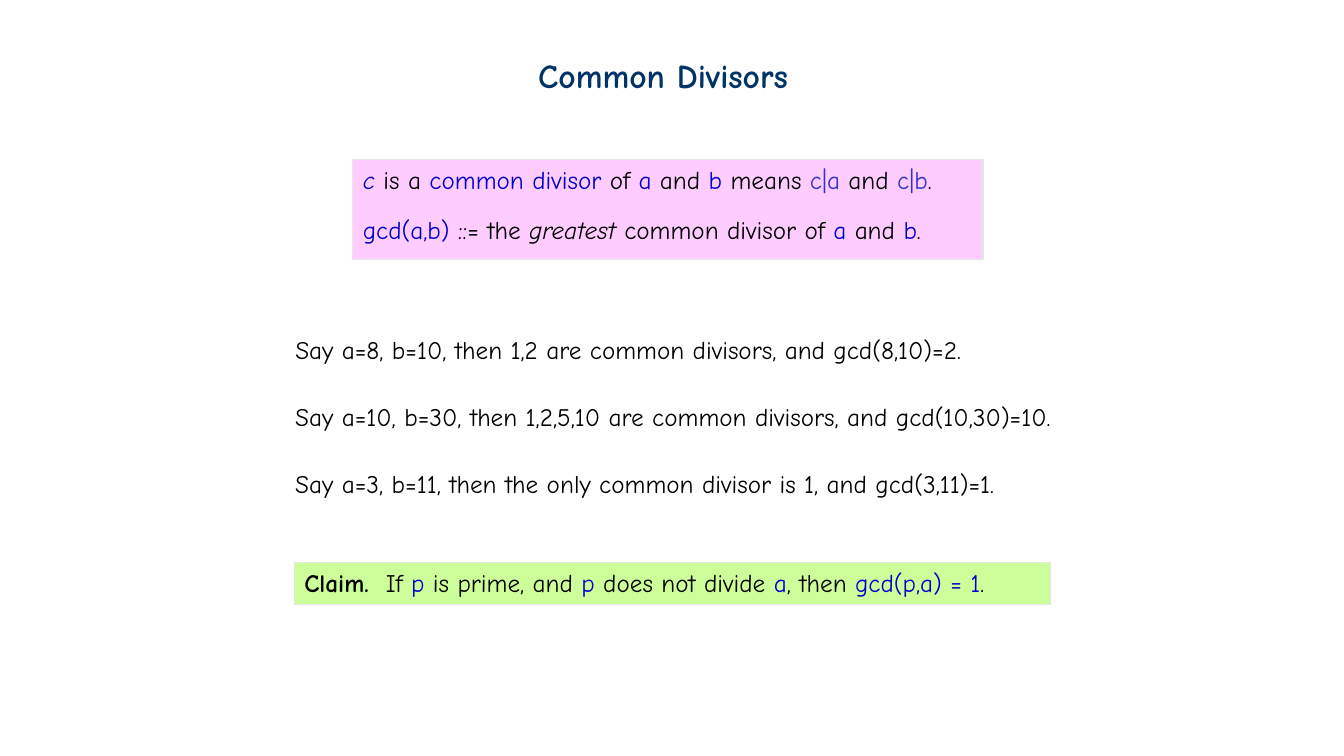
import pptx
import pptx.dml.color
import pptx.enum.shapes
import pptx.enum.text
import pptx.util

Inches, Pt = pptx.util.Inches, pptx.util.Pt

# Content: each line is a list of (text, style) runs
TITLE = [("Common Divisors", "title")]

DEFINITIONS = [
    [("c", "variable"), (" is a ", "body"), ("common divisor", "term"),
     (" of ", "body"), ("a", "term"), (" and ", "body"), ("b", "term"),
     (" means ", "body"), ("c|a ", "divides"), ("and ", "body"),
     ("c|b", "divides"), (".", "body")],
    [("gcd(a,b) ", "term"), ("::= the ", "body"), ("greatest", "emphasis"),
     (" common divisor of ", "body"), ("a", "term"), (" and ", "body"),
     ("b", "term"), (".", "body")],
]

EXAMPLES = [
    ("Say a=8, b=10, then 1,2 are common divisors, and gcd(8,10)=2.", 7.35),
    ("Say a=10, b=30, then 1,2,5,10 are common divisors, and gcd(10,30)=10.", 8.33),
    ("Say a=3, b=11, then the only common divisor is 1, and gcd(3,11)=1.", 7.7),
]

CLAIM = [
    ("Claim.", "strong"), ("  If ", "body"), ("p", "term"),
    (" is prime, and", "body"), (" p ", "term"), ("does not divide", "body"),
    (" a", "term"), (", then ", "body"), ("gcd(p,a) = 1", "term"), (".", "body"),
]

# Theme: style = (size, colour, bold, italic)
THEME = {
    "font": "Comic Neue",
    "border": "E7E6E6",
    "definition_fill": "FFCCFF",
    "claim_fill": "CCFF99",
    "styles": {
        "title": (24, "003366", True, False),
        "body": (18, "000000", False, False),
        "strong": (18, "000000", True, False),
        "emphasis": (18, "000000", False, True),
        "term": (18, "0000CC", False, False),
        "variable": (18, "0000CC", False, True),
        "divides": (18, "3333CC", False, False),
    },
}


def colour(name):
    return pptx.dml.color.RGBColor.from_string(name)


def add_runs(paragraph, runs):
    paragraph.alignment = pptx.enum.text.PP_ALIGN.LEFT
    for text, style in runs:
        size, color, bold, italic = THEME["styles"][style]
        run = paragraph.add_run()
        run.text = text
        run.font.name = THEME["font"]
        run.font.size = Pt(size)
        run.font.color.rgb = colour(color)
        run.font.bold = bold
        run.font.italic = italic


def add_label(slide, left, top, width, height, runs):
    box = slide.shapes.add_textbox(
        Inches(left), Inches(top), Inches(width), Inches(height))
    box.text_frame.word_wrap = False
    box.text_frame.auto_size = pptx.enum.text.MSO_AUTO_SIZE.SHAPE_TO_FIT_TEXT
    add_runs(box.text_frame.paragraphs[0], runs)


def add_panel(slide, left, top, width, height, fill, lines):
    shape = slide.shapes.add_shape(
        pptx.enum.shapes.MSO_SHAPE.RECTANGLE,
        Inches(left), Inches(top), Inches(width), Inches(height))
    shape.shadow.inherit = False
    shape.fill.solid()
    shape.fill.fore_color.rgb = colour(fill)
    shape.line.color.rgb = colour(THEME["border"])
    shape.line.width = Pt(0.75)
    frame = shape.text_frame
    frame.word_wrap = True
    frame.vertical_anchor = pptx.enum.text.MSO_ANCHOR.TOP
    for index, runs in enumerate(lines):
        paragraph = frame.add_paragraph() if index else frame.paragraphs[0]
        add_runs(paragraph, runs)
        paragraph.space_before = Pt(3.6)
        paragraph.line_spacing = 1.5 if index else 1.0
        # Hanging indent
        properties = paragraph._p.get_or_add_pPr()
        properties.set("marL", str(Inches(0.38)))
        properties.set("indent", str(-Inches(0.38)))


presentation = pptx.Presentation()
presentation.slide_width = Inches(13.33)
presentation.slide_height = Inches(7.5)
slide = presentation.slides.add_slide(presentation.slide_layouts[6])

# Title and definitions
add_label(slide, 5.24, 0.5, 2.84, 0.5, TITLE)
add_panel(slide, 3.5, 1.58, 6.25, 1, THEME["definition_fill"], DEFINITIONS)

# Examples, evenly spaced
EXAMPLE_TOP, EXAMPLE_STEP = 3.27, 0.665
for row, (sentence, width) in enumerate(EXAMPLES):
    add_label(slide, 2.83, EXAMPLE_TOP + row * EXAMPLE_STEP, width, 0.4,
              [(sentence, "body")])

# Claim
add_panel(slide, 2.92, 5.58, 7.5, 0.42, THEME["claim_fill"], [CLAIM])

presentation.save("out.pptx")
